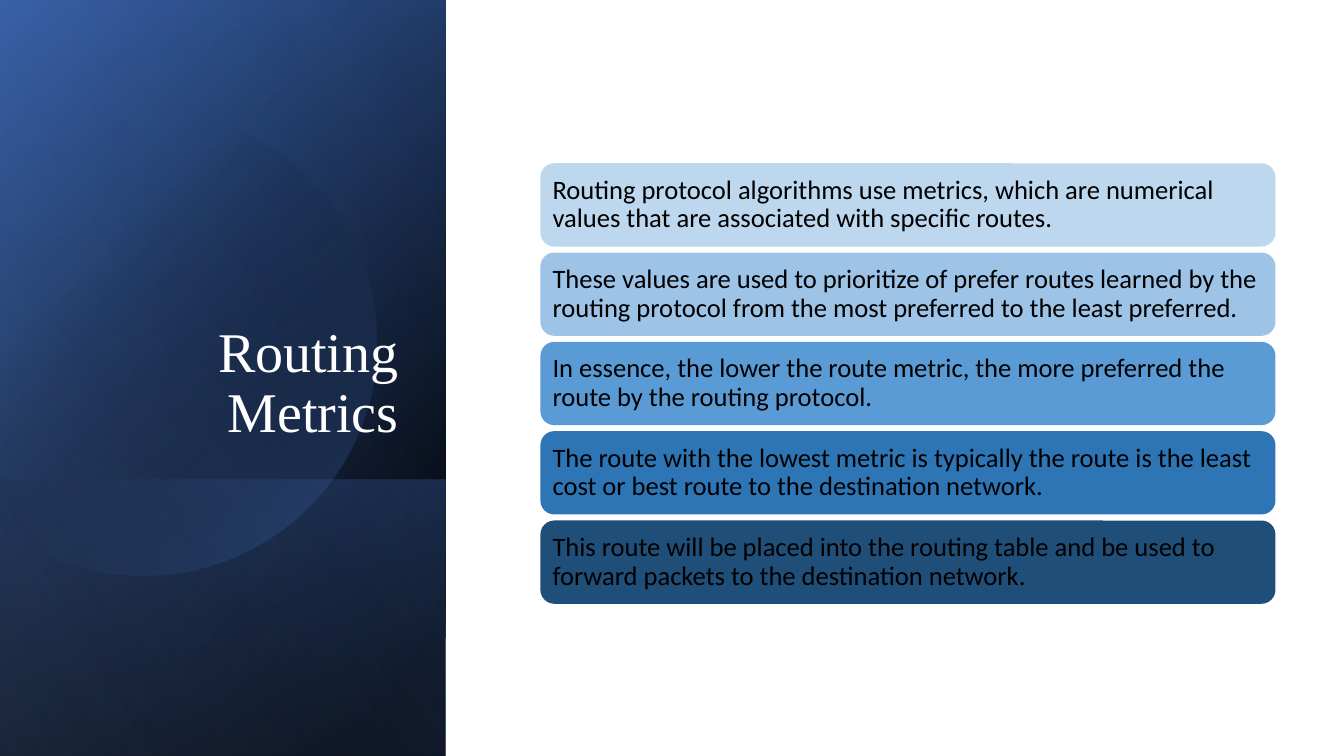
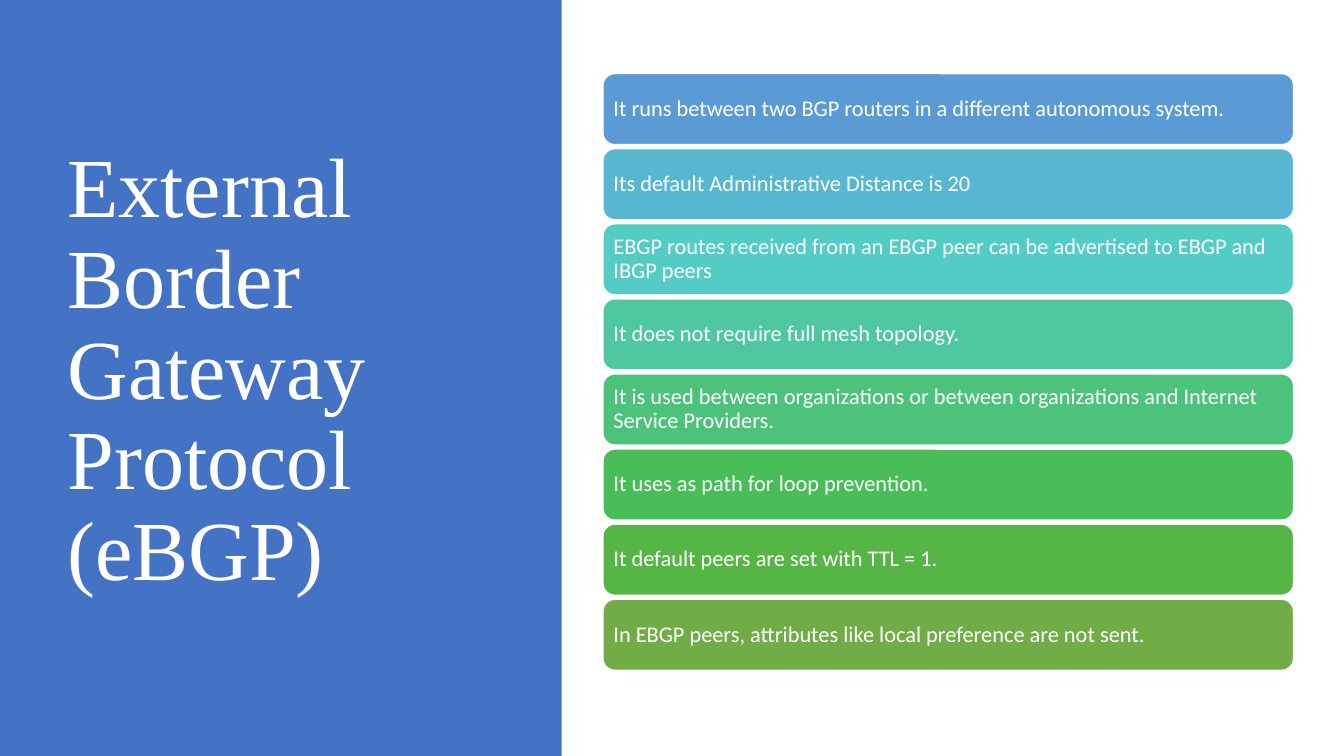
import math
import pptx
import pptx.util
import pptx.dml.color
import pptx.enum.shapes
import pptx.enum.text
import pptx.oxml
import pptx.oxml.ns

Inches = pptx.util.Inches
Pt = pptx.util.Pt
RGBColor = pptx.dml.color.RGBColor
Shape = pptx.enum.shapes.MSO_SHAPE
Anchor = pptx.enum.text.MSO_ANCHOR
Align = pptx.enum.text.PP_ALIGN
qn = pptx.oxml.ns.qn

# Shared look
WHITE = RGBColor(0xFF, 0xFF, 0xFF)
BLACK = RGBColor(0x00, 0x00, 0x00)
BLUE = RGBColor(0x44, 0x72, 0xC4)
NAVY = RGBColor(0x2F, 0x55, 0x97)
PALE = RGBColor(0x8F, 0xAA, 0xDC)
HEAD = "Times New Roman"
BODY = "Calibri"
WIDE, HIGH = 13.33, 7.5

# Cards: fill and wording
METRICS = [
    (RGBColor(0xBD, 0xD7, 0xEE), "Routing protocol algorithms use metrics, which are "
     "numerical values that are associated with specific routes."),
    (RGBColor(0x9D, 0xC3, 0xE6), "These values are used to prioritize of prefer routes learned "
     "by the routing protocol from the most preferred to the least preferred."),
    (RGBColor(0x5B, 0x9B, 0xD5), "In essence, the lower the route metric, the more preferred "
     "the route by the routing protocol."),
    (RGBColor(0x2E, 0x75, 0xB6), "The route with the lowest metric is typically the route is "
     "the least cost or best route to the destination network."),
    (RGBColor(0x1F, 0x4E, 0x79), "This route will be placed into the routing table and be used "
     "to forward packets to the destination network."),
]
TRAITS = [
    (RGBColor(0x5B, 0x9B, 0xD5),
     "It runs between two BGP routers in a different autonomous system."),
    (RGBColor(0x57, 0xB7, 0xD1), "Its default Administrative Distance is 20"),
    (RGBColor(0x53, 0xCC, 0xC5),
     "EBGP routes received from an EBGP peer can be advertised to EBGP and IBGP peers"),
    (RGBColor(0x4F, 0xC7, 0xA0), "It does not require full mesh topology."),
    (RGBColor(0x4C, 0xC2, 0x7B), "It is used between organizations or between organizations "
     "and Internet Service Providers."),
    (RGBColor(0x48, 0xBD, 0x58), "It uses as path for loop prevention."),
    (RGBColor(0x55, 0xB6, 0x46), "It default peers are set with TTL = 1."),
    (RGBColor(0x70, 0xAD, 0x47),
     "In EBGP peers, attributes like local preference are not sent."),
]


def add_box(slide, kind, box):
    """Add a plain shape without line or shadow."""
    shape = slide.shapes.add_shape(kind, *map(Inches, box))
    shape.shadow.inherit = False
    shape.line.fill.background()
    return shape


def set_fade(shape, angle, stops):
    """Fill with a linear gradient; a stop is (place %, colour, opacity %)."""
    marks = "".join(
        f'<a:gs pos="{place * 1000}"><a:srgbClr val="{color}">'
        f'<a:alpha val="{solid * 1000}"/></a:srgbClr></a:gs>'
        for place, color, solid in stops)
    fade = pptx.oxml.parse_xml(
        f'<a:gradFill {pptx.oxml.ns.nsdecls("a")} rotWithShape="1">'
        f'<a:gsLst>{marks}</a:gsLst>'
        f'<a:lin ang="{angle * 60000}" scaled="0"/></a:gradFill>')
    shape.fill.background()
    props = shape.element.spPr
    props.replace(props.find(qn("a:noFill")), fade)


def set_text(shape, text, font, size, color, anchor, align=Align.LEFT):
    frame = shape.text_frame
    frame.text = text
    frame.word_wrap = True
    frame.vertical_anchor = anchor
    para = frame.paragraphs[0]
    para.alignment = align
    para.line_spacing = 0.9
    style = para.runs[0].font
    style.name, style.size = font, Pt(size)
    style.color.rgb = color


def add_title(slide, box, text, size, anchor, align):
    area = slide.shapes.add_textbox(*map(Inches, box))
    set_text(area, text, HEAD, size, WHITE, anchor, align)


def add_cards(slide, box, gap, cards, size, color, inset, edge=False):
    """Stack equal rounded cards to fill the box."""
    left, top, width, height = box
    tall = (height - gap * (len(cards) - 1)) / len(cards)
    for row, (fill, text) in enumerate(cards):
        card = add_box(slide, Shape.ROUNDED_RECTANGLE,
                       (left, top + row * (tall + gap), width, tall))
        card.fill.solid()
        card.fill.fore_color.rgb = fill
        if edge:
            card.line.color.rgb = WHITE
            card.line.width = Pt(1)
        frame = card.text_frame
        frame.margin_left = frame.margin_right = Inches(inset)
        frame.margin_top = frame.margin_bottom = Inches(inset)
        set_text(card, text, BODY, size, color, Anchor.MIDDLE)


def add_disc(slide, left, mid_x, mid_y, radius):
    """Add a disc cut off straight at the left edge."""
    reach = math.acos((left - mid_x) / radius)
    steps = 120
    turns = [reach * (2 * i / steps - 1) for i in range(steps + 1)]
    dots = [(Inches(mid_x + radius * math.cos(t)),
             Inches(mid_y + radius * math.sin(t))) for t in turns]
    pen = slide.shapes.build_freeform(*dots[0])
    pen.add_line_segments(dots[1:], close=True)
    disc = pen.convert_to_shape()
    disc.shadow.inherit = False
    disc.line.fill.background()
    set_fade(disc, 45, [(29, BLACK, 0), (100, BLUE, 43)])


def add_glow(slide, box):
    """Layer the shaded side panel."""
    left, top, width, height = box
    foot = 2.74
    low = (left, top + height - foot, width, foot)
    layers = [
        (box, 220, [(8, BLACK, 100), (100, NAVY, 100)]),
        (box, 240, [(0, BLACK, 0), (99, BLUE, 46)]),
        (low, 140, [(2, BLUE, 29), (100, BLACK, 30)]),
    ]
    for area, angle, stops in layers:
        set_fade(add_box(slide, Shape.RECTANGLE, area), angle, stops)
    add_disc(slide, left, left + 1.42, top + 3.4, 2.31)
    set_fade(add_box(slide, Shape.RECTANGLE, box), 150,
             [(0, BLACK, 0), (99, PALE, 11)])


def add_metrics(slide):
    add_glow(slide, (0, 0, 4.42, HIGH))
    add_title(slide, (0.64, 1.84, 3.41, 2.62), "Routing Metrics", 40,
              Anchor.BOTTOM, Align.RIGHT)
    add_cards(slide, (5.36, 1.62, 7.29, 4.37), 0.06, METRICS, 19, BLACK, 0.08)


def add_traits(slide):
    panel = add_box(slide, Shape.RECTANGLE, (0, 0, 5.57, HIGH))
    panel.fill.solid()
    panel.fill.fore_color.rgb = BLUE
    add_title(slide, (0.57, 0.68, 4.16, 6.02),
              "External Border Gateway Protocol (eBGP)", 60,
              Anchor.MIDDLE, Align.LEFT)
    add_cards(slide, (5.98, 0.73, 6.85, 5.92), 0.04, TRAITS, 16, WHITE, 0.07, True)


def main():
    deck = pptx.Presentation()
    deck.slide_width, deck.slide_height = Inches(WIDE), Inches(HIGH)
    for build in (add_metrics, add_traits):
        build(deck.slides.add_slide(deck.slide_layouts[6]))
    deck.save("out.pptx")


if __name__ == "__main__":
    main()
